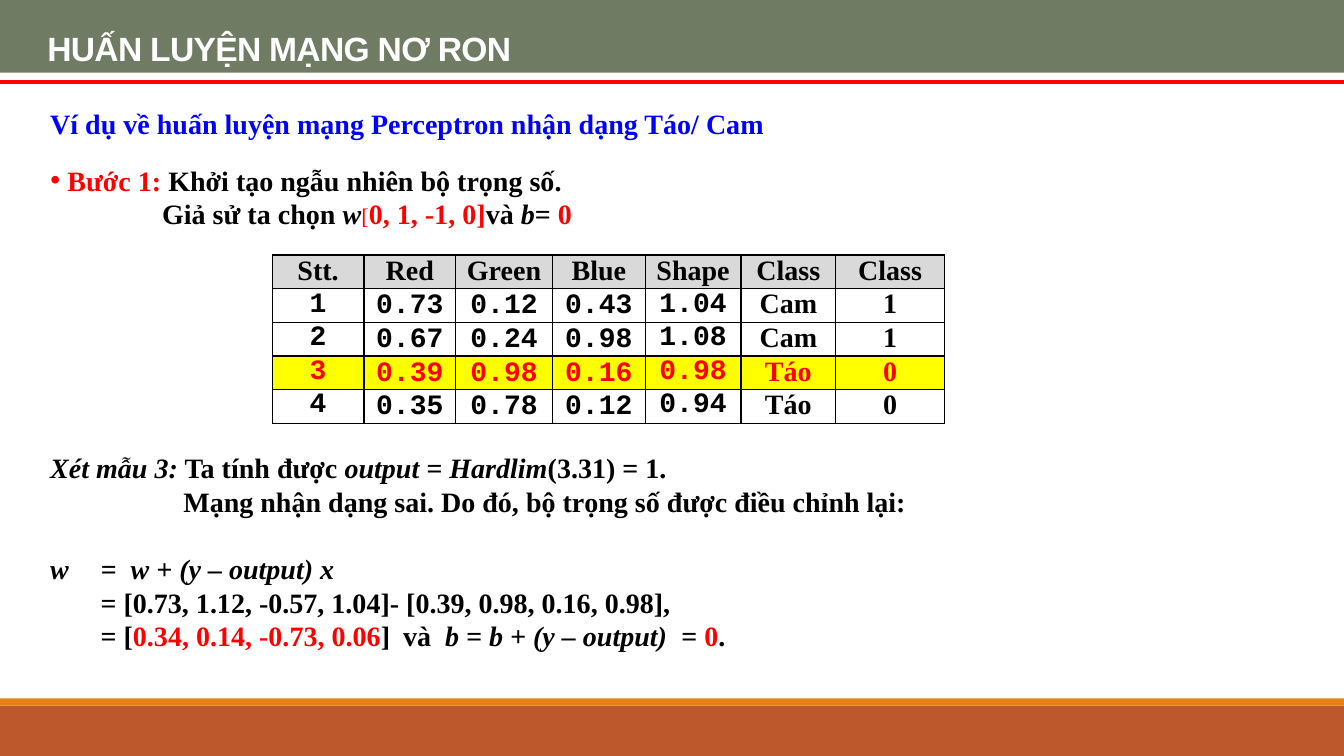
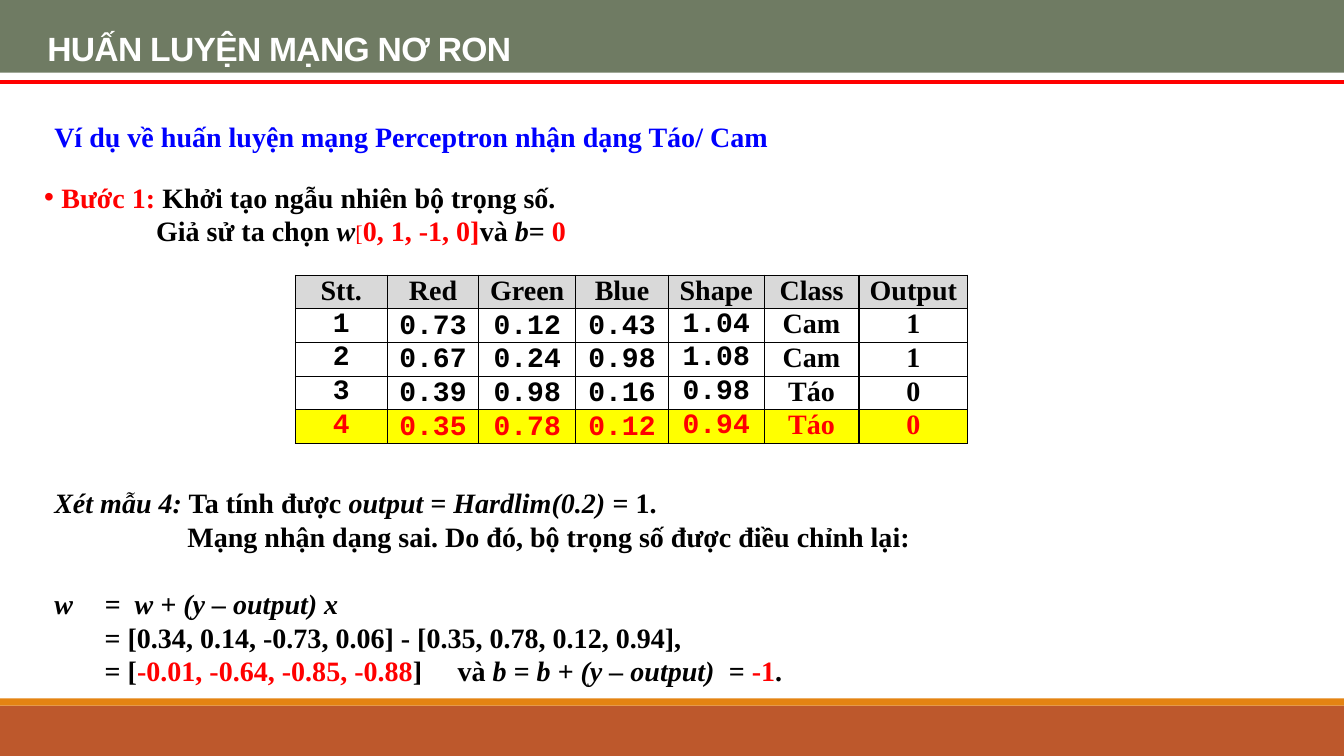
import pptx
import pptx.util
import pptx.dml.color
import pptx.enum.shapes
import pptx.enum.text
import pptx.oxml
import pptx.oxml.ns
from lxml import etree

Inches = pptx.util.Inches
Pt = pptx.util.Pt
Anchor = pptx.enum.text.MSO_ANCHOR
Align = pptx.enum.text.PP_ALIGN

WIDTH, HEIGHT = 13.33, 7.5
BLACK, RED, BLUE, WHITE = "000000", "FF0000", "0000FF", "FFFFFF"
GREEN_BAND, ORANGE_BAND, BROWN_BAND = "6F7B63", "E48312", "BD582C"
HEADER_FILL, HIGHLIGHT_FILL = "D9D9D9", "FFFF00"
SERIF, MONO, SANS = "Times New Roman", "Courier New", "Arial"
TEXT_SIZE = 20

TITLE = "HUẤN LUYỆN MẠNG NƠ RON"
HEADING = "Ví dụ về huấn luyện mạng Perceptron nhận dạng Táo/ Cam"
COLUMN_WIDTHS = [0.91, 0.91, 0.96, 0.92, 0.95, 0.94, 1.08]
TABLE_HEIGHT = 1.67
COLUMN_NAMES = ["Stt.", "Red", "Green", "Blue", "Shape", "Class"]
SAMPLES = [
    ["1", "0.73", "0.12", "0.43", "1.04", "Cam", "1"],
    ["2", "0.67", "0.24", "0.98", "1.08", "Cam", "1"],
    ["3", "0.39", "0.98", "0.16", "0.98", "Táo", "0"],
    ["4", "0.35", "0.78", "0.12", "0.94", "Táo", "0"],
]
ITALIC = {"italic": True}
ACCENT = {"color": RED}


def color(value):
    """Return the colour for a hex string."""
    return pptx.dml.color.RGBColor.from_string(value)


def set_font(font, name=None, size=None, color_hex=None, bold=None, italic=None):
    """Set the given properties of a font."""
    if name:
        font.name = name
    if size:
        font.size = Pt(size)
    if color_hex:
        font.color.rgb = color(color_hex)
    if bold is not None:
        font.bold = bold
    if italic is not None:
        font.italic = italic


def add_child(parent, tag, **attributes):
    """Append a drawing element with attributes."""
    child = etree.SubElement(parent, pptx.oxml.ns.qn(tag))
    for key, value in attributes.items():
        child.set(key, str(value))
    return child


def add_para(frame, spans, first=False, margin=0, bullet=False, tabs=(), before=0):
    """Write one paragraph made of text and style pairs."""
    para = frame.paragraphs[0] if first else frame.add_paragraph()
    if before:
        para.space_before = Pt(before)
    properties = para._p.get_or_add_pPr()
    properties.set("marL", str(Inches(margin)))
    properties.set("indent", str(-Inches(margin) if bullet else 0))
    if bullet:
        add_child(properties, "a:buFont", typeface=SANS)
        add_child(properties, "a:buChar", char="•")
    if tabs:
        stops = add_child(properties, "a:tabLst")
        for stop in tabs:
            add_child(stops, "a:tab", pos=Inches(stop), algn="l")
    set_font(para.font, SERIF, TEXT_SIZE, BLACK, True)
    for text, style in spans:
        span = para.add_run()
        span.text = text
        set_font(span.font, size=style.get("size"), color_hex=style.get("color"),
                 bold=style.get("bold"), italic=style.get("italic"))


def add_text_box(page, left, top, width, height, anchor=Anchor.TOP):
    """Add a wrapping text box and return its frame."""
    frame = page.shapes.add_textbox(
        Inches(left), Inches(top), Inches(width), Inches(height)).text_frame
    frame.word_wrap = True
    frame.vertical_anchor = anchor
    return frame


def add_title(page):
    """Turn the title placeholder into the top band with its rule."""
    title = page.shapes.title
    title.left, title.top = Inches(0), Inches(0)
    title.width, title.height = Inches(WIDTH), Inches(0.72)
    title.fill.solid()
    title.fill.fore_color.rgb = color(GREEN_BAND)
    frame = title.text_frame
    frame.auto_size = pptx.enum.text.MSO_AUTO_SIZE.NONE
    frame.vertical_anchor = Anchor.TOP
    frame.margin_left, frame.margin_top = Inches(0.47), Inches(0.08)
    para = frame.paragraphs[0]
    para.alignment = Align.LEFT
    para.line_spacing = 1.5
    set_font(para.font, SANS, 24, WHITE, True)
    span = para.add_run()
    span.text = TITLE
    span._r.get_or_add_rPr().set("spc", "-50")

    rule = page.shapes.add_connector(
        pptx.enum.shapes.MSO_CONNECTOR.STRAIGHT,
        Inches(0), Inches(0.81), Inches(WIDTH), Inches(0.81))
    rule.line.color.rgb = color(RED)
    rule.line.width = Pt(3)
    add_child(rule._element.spPr, "a:effectLst")


def add_footer(page):
    """Draw the two bands at the foot of the slide."""
    for top, bottom, fill in ((7, HEIGHT, BROWN_BAND), (6.93, 7, ORANGE_BAND)):
        band = page.shapes.add_shape(
            pptx.enum.shapes.MSO_SHAPE.RECTANGLE,
            Inches(0), Inches(top), Inches(WIDTH), Inches(bottom - top))
        band.shadow.inherit = False
        band.fill.solid()
        band.fill.fore_color.rgb = color(fill)
        band.line.fill.background()


def add_heading(page, left, top):
    """Write the blue heading of the example."""
    frame = add_text_box(page, left, top, 8.47, 0.44)
    add_para(frame, [(HEADING, {"color": BLUE})], first=True)


def add_first_step(page, left, top, width):
    """Write the step that picks the starting weights."""
    frame = add_text_box(page, left, top, width, 0.77)
    add_para(frame, [("Bước 1: ", ACCENT), ("Khởi tạo ngẫu nhiên bộ trọng số.", {})],
             first=True, margin=0.17, bullet=True)
    add_para(frame, [
        ("Giả sử ta chọn ", {}), ("w", ITALIC),
        ("[", {"size": 16, "color": RED, "bold": False}), ("0, 1, -1, 0]", ACCENT),
        ("và ", {}), ("b", ITALIC), ("= ", {}), ("0", ACCENT),
    ], margin=1.11)


def add_borders(cell):
    """Draw a thin black line on each side of a cell."""
    properties = cell._tc.get_or_add_tcPr()
    for index, side in enumerate(("a:lnL", "a:lnR", "a:lnT", "a:lnB")):
        line = add_child(properties, side, w=Pt(1))
        add_child(add_child(line, "a:solidFill"), "a:srgbClr", val=BLACK)
        properties.insert(index, line)


def fill_cell(cell, text, font_name, text_color, fill, anchor):
    """Write and format one table cell."""
    cell.margin_left = cell.margin_right = Inches(0.07)
    cell.margin_top = cell.margin_bottom = 0
    cell.vertical_anchor = anchor
    if fill:
        cell.fill.solid()
        cell.fill.fore_color.rgb = color(fill)
    else:
        cell.fill.background()
    add_borders(cell)
    para = cell.text_frame.paragraphs[0]
    para.alignment = Align.CENTER
    set_font(para.font, font_name, TEXT_SIZE, text_color, True)
    para.add_run().text = text


def add_sample_table(page, left, top, last_column, sample):
    """Draw the samples with the current one highlighted."""
    rows = [COLUMN_NAMES + [last_column]] + SAMPLES
    table = page.shapes.add_table(
        len(rows), len(COLUMN_WIDTHS), Inches(left), Inches(top),
        Inches(sum(COLUMN_WIDTHS)), Inches(TABLE_HEIGHT)).table
    table.first_row = table.horz_banding = False
    for column, width in zip(table.columns, COLUMN_WIDTHS):
        column.width = Inches(width)
    for row_index, row in enumerate(rows):
        table.rows[row_index].height = Inches(TABLE_HEIGHT / len(rows))
        current = row_index == sample
        fill = HEADER_FILL if row_index == 0 else HIGHLIGHT_FILL if current else None
        for column_index, text in enumerate(row):
            numeric = row_index > 0 and column_index < 5
            low = numeric and 1 <= column_index <= 3
            fill_cell(table.cell(row_index, column_index), text,
                      MONO if numeric else SERIF, RED if current else BLACK,
                      fill, Anchor.BOTTOM if low else Anchor.TOP)


def add_update(page, left, top, sample, output, formula_tabs, difference,
               weights, result_tabs, joiner, bias):
    """Write the output of a sample and the corrected weights."""
    frame = add_text_box(page, left, top, 10.4, 2.12, Anchor.MIDDLE)
    add_para(frame, [(f"Xét mẫu {sample}:", ITALIC), (" Ta tính được ", {})] + output,
             first=True)
    add_para(frame, [("Mạng nhận dạng sai. Do đó, bộ trọng số được điều chỉnh lại:", {})],
             margin=1.32)
    add_para(frame, [("w\t=  w + (y – output) x", ITALIC)],
             tabs=formula_tabs[:1], before=24)
    add_para(frame, [("\t= " + difference, {})], tabs=formula_tabs[1:])
    add_para(frame, [
        ("\t= [", {}), (weights, ACCENT), ("]\t" + joiner, {}),
        ("b = b + (y – output)", ITALIC), ("  = ", {}), (bias, ACCENT), (".", {}),
    ], tabs=result_tabs)


def add_page(deck):
    """Add a slide with the shared title and bands."""
    page = deck.slides.add_slide(deck.slide_layouts[5])
    add_title(page)
    add_footer(page)
    return page


def build_third_sample(deck):
    """Build the slide on sample 3."""
    page = add_page(deck)
    add_heading(page, 0.4, 1.01)
    add_first_step(page, 0.4, 1.57, 9.08)
    add_sample_table(page, 2.7, 2.53, "Class", 3)
    add_update(page, 0.4, 4.41, 3,
               [("output = Hardlim", ITALIC), ("(3.31) = 1.", {})],
               (0.37, 0.35), "[0.73, 1.12, -0.57, 1.04]- [0.39, 0.98, 0.16, 0.98],",
               "0.34, 0.14, -0.73, 0.06", (0.35, 4.33), "và  ", "0")


def build_fourth_sample(deck):
    """Build the slide on sample 4."""
    page = add_page(deck)
    add_heading(page, 0.44, 1.14)
    add_first_step(page, 0.34, 1.74, 10.78)
    add_sample_table(page, 2.93, 2.73, "Output", 4)
    add_update(page, 0.44, 4.76, 4,
               [("output = Hardlim(0.2)", ITALIC), (" = 1.", {})],
               (0.3, 0.32), "[0.34, 0.14, -0.73, 0.06] - [0.35, 0.78, 0.12, 0.94],",
               "-0.01, -0.64, -0.85, -0.88", (0.35, 4.54), "và ", "-1")


def main():
    """Build and save the deck."""
    deck = pptx.Presentation()
    deck.slide_width, deck.slide_height = Inches(WIDTH), Inches(HEIGHT)
    build_third_sample(deck)
    build_fourth_sample(deck)
    deck.save("out.pptx")


if __name__ == "__main__":
    main()
